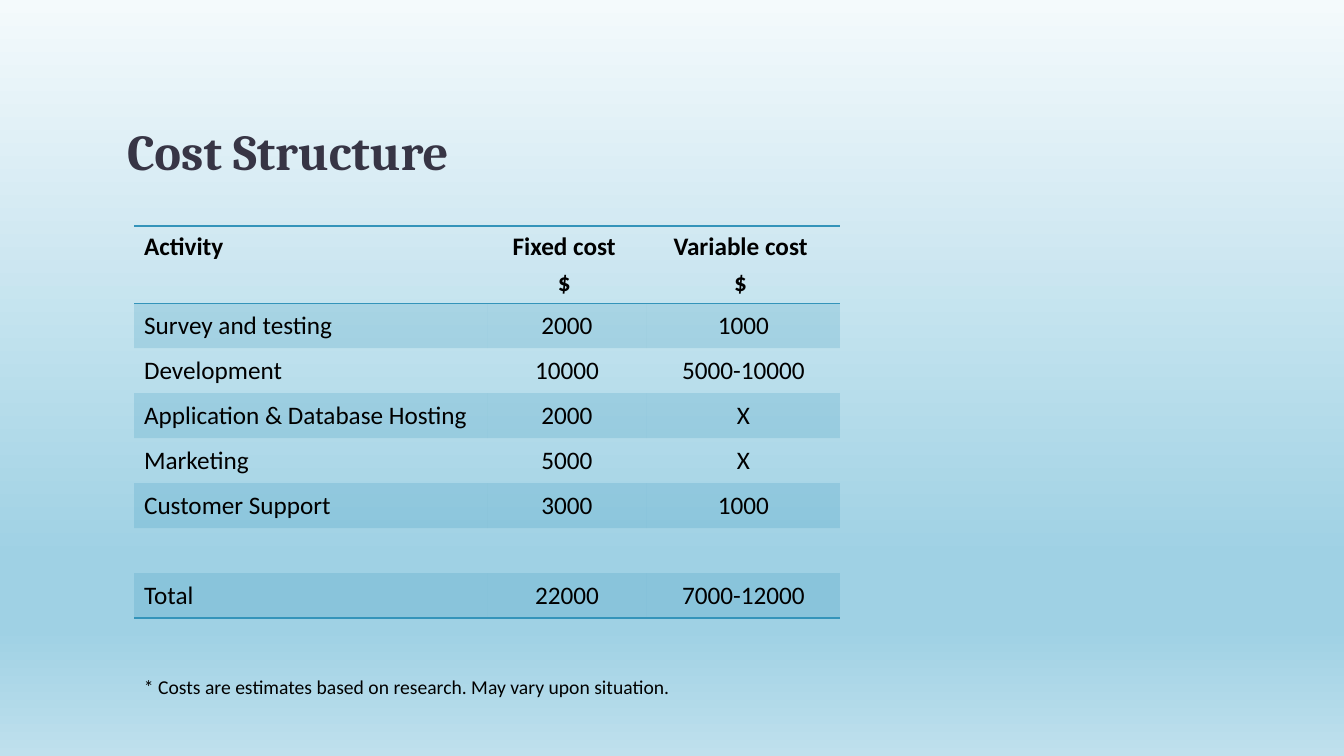
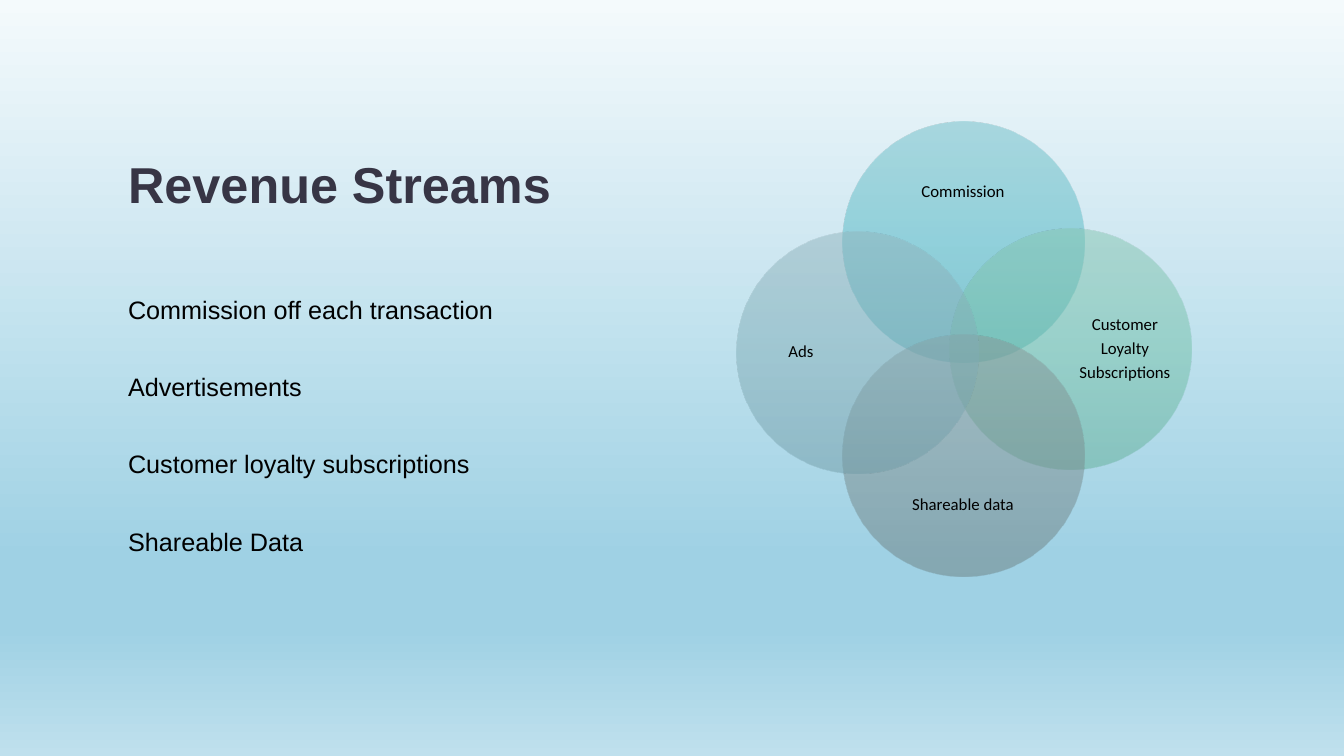
from dataclasses import dataclass

from lxml.etree import SubElement
from pptx import Presentation
from pptx.dml.color import RGBColor
from pptx.enum.shapes import MSO_SHAPE
from pptx.enum.text import MSO_ANCHOR as ANCHOR, MSO_AUTO_SIZE as AUTO, PP_ALIGN as ALIGN
from pptx.oxml.ns import qn
from pptx.util import Pt

SLIDE_W, SLIDE_H = 1344, 756
EMU_PER_PX = 12192000 / SLIDE_W
NO_TABLE_STYLE = "{2D5ABB26-0587-4C30-8999-92F81FD0307C}"
TITLE_ONLY, TITLE_AND_BODY = 5, 1


@dataclass(frozen=True)
class Theme:
    ink: str = "000000"
    heading: str = "373545"
    accent: str = "3494BA"
    sky: tuple = ((0, "F4FAFC"), (74, "9FD1E4"), (83, "9FD1E4"), (100, "BFE0ED"))
    teal: tuple = ((0, "6FBEC7"), (50, "53BAC5"), (100, "44AAB5"))
    green: tuple = ((0, "86C5B1"), (50, "71C1A8"), (100, "61AF97"))
    gray: tuple = ((0, "89999A"), (50, "798D8F"), (100, "6A7E80"))
    mist: tuple = ((0, "92B5BE"), (50, "82AEB8"), (100, "709CA7"))
    band_alpha: int = 20
    circle_alpha: int = 50
    title_size: int = 36
    body_size: int = 18
    note_size: int = 14
    label_size: int = 12
    font: str = "Calibri"


THEME = Theme()


def px(*lengths):
    return [round(length * EMU_PER_PX) for length in lengths]


def set_alpha(element, percent):
    for color in element.iter(qn("a:srgbClr")):
        SubElement(color, qn("a:alpha"), val=str(percent * 1000))


def set_gradient(fill, element, stops):
    """Give the owner of fill a top-to-bottom gradient of (percent, colour) stops."""
    fill.gradient()
    fill.gradient_angle = 270
    stop_list = element.find(".//" + qn("a:gsLst"))
    for stop in list(stop_list):
        stop_list.remove(stop)
    for percent, color in stops:
        stop = SubElement(stop_list, qn("a:gs"), pos=str(percent * 1000))
        SubElement(stop, qn("a:srgbClr"), val=color)


def write(frame, text, size=THEME.body_size, font=THEME.font, color=THEME.ink,
          bold=False, align=ALIGN.LEFT, line=1.0, before=0, after=0, plain_list=False):
    """Fill a text frame, one paragraph per line of text."""
    frame.word_wrap = True
    for index, content in enumerate(text.split("\n")):
        paragraph = frame.add_paragraph() if index else frame.paragraphs[0]
        if plain_list:
            properties = paragraph._p.get_or_add_pPr()
            properties.set("marL", "0")
            properties.set("indent", "0")
            SubElement(properties, qn("a:buNone"))
        paragraph.alignment = align
        paragraph.line_spacing = line
        paragraph.space_before = Pt(before if index else 0)
        paragraph.space_after = Pt(after)
        run = paragraph.add_run()
        run.text = content
        run.font.size, run.font.name, run.font.bold = Pt(size), font, bold
        run.font.color.rgb = RGBColor.from_string(color)


class Deck:
    def __init__(self, theme):
        self.theme = theme
        self.prs = Presentation()
        self.prs.slide_width, self.prs.slide_height = px(SLIDE_W, SLIDE_H)
        master = self.prs.slide_master
        set_gradient(master.background.fill, master.element, theme.sky)
        self.slide = None

    def new_slide(self, layout):
        self.slide = self.prs.slides.add_slide(self.prs.slide_layouts[layout])

    def place(self, holder, box, anchor):
        holder.left, holder.top, holder.width, holder.height = px(*box)
        frame = holder.text_frame
        frame.auto_size = AUTO.NONE
        frame.vertical_anchor = anchor
        return frame

    def title(self, text, box, font):
        write(self.place(self.slide.shapes.title, box, ANCHOR.BOTTOM), text,
              size=self.theme.title_size, font=font, color=self.theme.heading,
              bold=True, line=0.8)

    def body(self, text, box, font):
        write(self.place(self.slide.placeholders[1], box, ANCHOR.TOP), text,
              font=font, line=2.0, after=12, plain_list=True)

    def note(self, text, box):
        caption = self.slide.shapes.add_textbox(*px(*box))
        write(caption.text_frame, text, size=self.theme.note_size, line=0.9)

    def rules(self, cell, sides):
        """Draw lines on the given sides of a cell, top (T) before bottom (B)."""
        properties = cell._tc.get_or_add_tcPr()
        for position, side in enumerate(sides):
            border = SubElement(properties, qn("a:ln" + side), w=str(Pt(1)))
            fill = SubElement(border, qn("a:solidFill"))
            SubElement(fill, qn("a:srgbClr"), val=self.theme.accent)
            properties.insert(position, border)

    def table(self, rows, left, top, widths, header_height, row_height):
        heights = [header_height] + [row_height] * (len(rows) - 1)
        frame = self.slide.shapes.add_table(
            len(rows), len(widths), *px(left, top, sum(widths), sum(heights)))
        frame.element.find(".//" + qn("a:tableStyleId")).text = NO_TABLE_STYLE
        grid = frame.table
        for column, width in zip(grid.columns, px(*widths)):
            column.width = width
        for row, height in zip(grid.rows, px(*heights)):
            row.height = height
        ruled_sides = {0: "TB", len(rows) - 1: "B"}
        for r, row in enumerate(rows):
            for c, text in enumerate(row):
                cell = grid.cell(r, c)
                cell.vertical_anchor = ANCHOR.MIDDLE if r else ANCHOR.TOP
                if text:
                    write(cell.text_frame, text, bold=r == 0, before=4,
                          align=ALIGN.CENTER if c else ALIGN.LEFT)
                if r % 2:
                    cell.fill.solid()
                    cell.fill.fore_color.rgb = RGBColor.from_string(self.theme.accent)
                    set_alpha(cell._tc.tcPr, self.theme.band_alpha)
                else:
                    cell.fill.background()
                self.rules(cell, ruled_sides.get(r, ""))

    def venn(self, circles, diameter):
        """Draw circles (text, centre, label offset, label size, stops)."""
        group = self.slide.shapes.add_group_shape()
        for text, (x, y), (dx, dy), (width, height), stops in circles:
            corner = x - diameter // 2, y - diameter // 2
            circle = group.shapes.add_shape(MSO_SHAPE.OVAL, *px(*corner, diameter, diameter))
            circle.shadow.inherit = False
            circle.line.fill.background()
            set_gradient(circle.fill, circle.element, stops)
            set_alpha(circle.element.spPr, self.theme.circle_alpha)

            label_corner = x + dx - width // 2, y + dy - height // 2
            label = group.shapes.add_textbox(*px(*label_corner, width, height)).text_frame
            label.margin_left = label.margin_right = label.margin_top = label.margin_bottom = 0
            label.vertical_anchor = ANCHOR.MIDDLE
            write(label, text, size=self.theme.label_size, align=ALIGN.CENTER,
                  line=0.9, after=4)


COSTS = (
    ("Activity", "Fixed cost \n$ ", "Variable cost \n$ "),
    ("Survey and testing", "2000", "1000"),
    ("Development", "10000", "5000-10000"),
    ("Application & Database Hosting", "2000", "X"),
    ("Marketing", "5000", "X"),
    ("Customer Support", "3000", "1000"),
    ("", "", ""),
    ("Total", "22000", "7000-12000"),
)
WIDE_LABEL, TALL_LABEL = (184, 77), (100, 184)
STREAMS = (
    ("Commission", (963, 242), (0, -50), WIDE_LABEL, THEME.teal),
    ("Customer\nLoyalty\nSubscriptions", (1070, 349), (55, 0), TALL_LABEL, THEME.green),
    ("Shareable data", (963, 455), (0, 50), WIDE_LABEL, THEME.gray),
    ("Ads", (857, 352), (-56, 0), TALL_LABEL, THEME.mist),
)


def main():
    deck = Deck(THEME)

    deck.new_slide(TITLE_ONLY)
    deck.title("Cost Structure", (117, 67, 370, 118), font="Cambria")
    deck.table(COSTS, 134, 226, (353, 160, 193), header_height=77, row_height=45)
    deck.note("* Costs are estimates based on research. May vary upon situation.",
              (134, 673, 554, 31))

    deck.new_slide(TITLE_AND_BODY)
    deck.title("Revenue Streams", (118, 100, 537, 118), font="Arial")
    deck.venn(STREAMS, diameter=241)
    deck.body("Commission off each transaction\nAdvertisements\n"
              "Customer loyalty subscriptions\nShareable Data",
              (118, 259, 671, 497), font="Arial")

    deck.prs.save("out.pptx")


if __name__ == "__main__":
    main()
